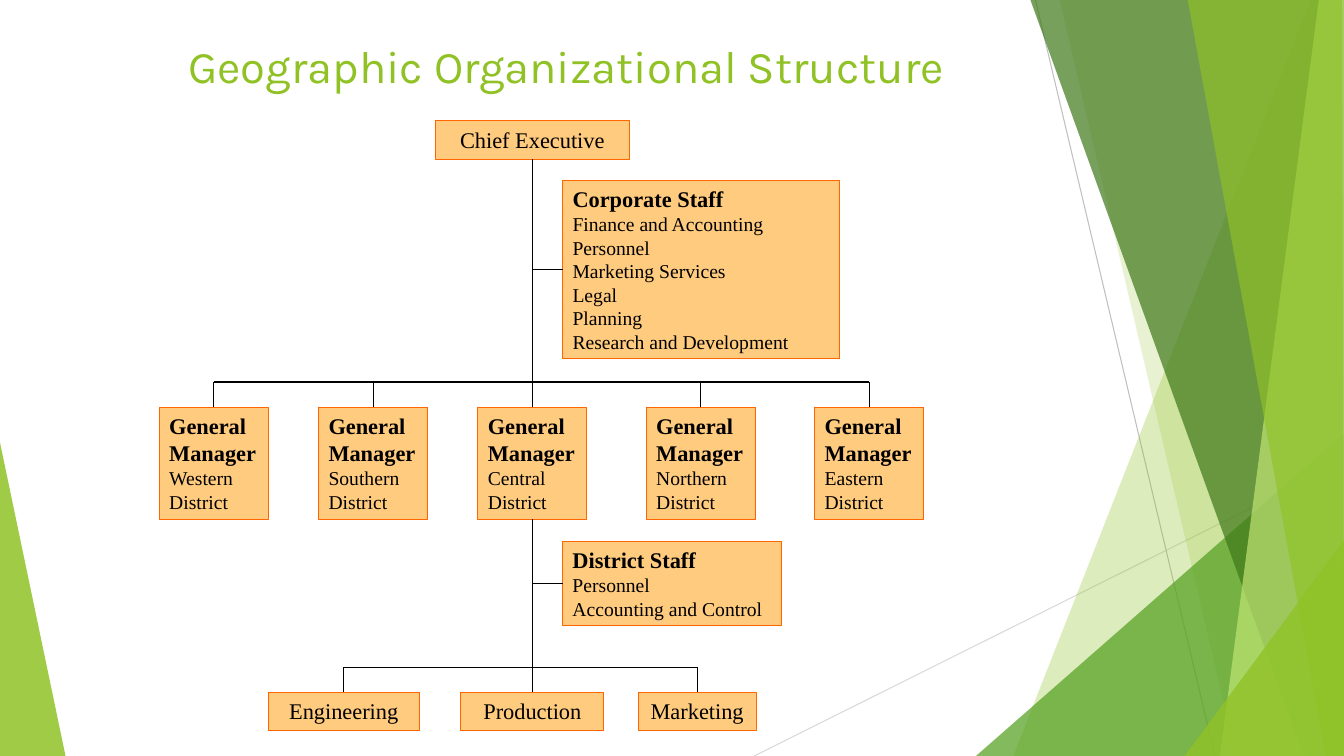
from pptx import Presentation
from pptx.dml.color import RGBColor
from pptx.enum.shapes import MSO_CONNECTOR, MSO_SHAPE
from pptx.enum.text import MSO_ANCHOR, PP_ALIGN
from pptx.oxml.ns import qn
from pptx.util import Inches, Pt
from lxml.etree import SubElement

HEX = {
    "lime": "90C226", "green": "54A021", "forest": "3F7819", "pale": "C0E474",
    "light": "D9D9D9", "gray": "BFBFBF", "black": "000000",
    "amber": "FF9900", "orange": "FF6600",
}
RGB = {name: RGBColor.from_string(code) for name, code in HEX.items()}

deck = Presentation()
deck.slide_width, deck.slide_height = Inches(13.33), Inches(7.5)
slide = deck.slides.add_slide(deck.slide_layouts[6])
shapes = slide.shapes


def paint(shape, color, alpha):
    """Give a shape a flat fill, alpha percent opaque, and no shadow."""
    shape.shadow.inherit = False
    shape.fill.solid()
    shape.fill.fore_color.rgb = RGB[color]
    tone = shape._element.spPr.find(qn("a:solidFill"))[0]
    SubElement(tone, qn("a:alpha"), val=str(alpha * 1000))


def link(x1, y1, x2, y2, color="black"):
    line = shapes.add_connector(
        MSO_CONNECTOR.STRAIGHT, Inches(x1), Inches(y1), Inches(x2), Inches(y2))
    line.line.color.rgb = RGB[color]
    line.line.width = Pt(0.75)
    SubElement(line._element.spPr, qn("a:effectLst"))
    return line


# Backdrop: color, opacity, corners
left = [("lime", 85, [(0, 4.39), (0.65, 7.5), (0, 7.5)])]
right = [
    ("lime", 30, [(13, 0), (10.05, 7.5), (13.35, 7.5), (13.35, 0)]),
    ("lime", 20, [(10.51, 0), (12.26, 7.5), (13.35, 7.5), (13.35, 0)]),
    ("green", 72, [(9.68, 7.5), (13.34, 4.29), (13.34, 7.5)]),
    ("forest", 70, [(10.22, 0), (12.93, 7.5), (13.35, 7.5), (13.35, 0)]),
    ("pale", 70, [(13.08, 0), (12.1, 7.5), (13.35, 7.5), (13.34, 0)]),
    ("lime", 65, [(11.78, 0), (13.15, 7.5), (13.33, 7.5), (13.31, 0)]),
    ("lime", 80, [(11.75, 7.5), (13.34, 5.35), (13.35, 7.5)]),
]
link(7.48, 7.5, 13.35, 4.57, "light")
link(10.27, 0, 12.05, 7.5, "gray")
for color, alpha, points in left + right:
    start, *rest = [(Inches(x), Inches(y)) for x, y in points]
    pen = shapes.build_freeform(*start)
    pen.add_line_segments(rest)
    facet = pen.convert_to_shape()
    paint(facet, color, alpha)
    facet.line.fill.background()

# Title
title = shapes.add_textbox(Inches(1.77), Inches(0.33), Inches(8.25), Inches(1.08))
title.text_frame.word_wrap = True
head = title.text_frame.paragraphs[0]
head.text = "Geographic Organizational Structure"
head.font.name, head.font.size = "Karla", Pt(32.4)
head.font.color.rgb = RGB["lime"]

# Boxes: left, top, width, height, bold lines, text
mid = 5.28
cards = [
    (4.32, 1.2, 1.92, 0.38, 0, ["Chief Executive"]),
    (5.58, 1.79, 2.75, 1.77, 1, [
        "Corporate Staff", "Finance and Accounting", "Personnel",
        "Marketing Services", "Legal", "Planning", "Research and Development"]),
    (5.58, 5.37, 2.17, 0.84, 1, [
        "District Staff", "Personnel", "Accounting and Control"]),
    (2.66, 6.87, 1.5, 0.38, 0, ["Engineering"]),
    (4.57, 6.87, 1.42, 0.38, 0, ["Production"]),
    (6.33, 6.87, 1.17, 0.38, 0, ["Marketing"]),
]
areas = {"Western": 1.58, "Southern": 3.16, "Central": 4.74,
         "Northern": 6.41, "Eastern": 8.08}
for area, x in areas.items():
    cards.append((x, 4.04, 1.08, 1.11, 2, ["General", "Manager", area, "District"]))

boxes = []
for x, y, w, h, bold, lines in cards:
    box = shapes.add_shape(
        MSO_SHAPE.RECTANGLE, Inches(x), Inches(y), Inches(w), Inches(h))
    paint(box, "amber", 50)
    box.line.color.rgb = RGB["orange"]
    box.line.width = Pt(0.75)
    frame = box.text_frame
    frame.word_wrap = True
    frame.vertical_anchor = MSO_ANCHOR.TOP
    if bold:
        frame.margin_right = Inches(0.05)
    for i, text in enumerate(lines):
        para = frame.paragraphs[0] if i == 0 else frame.add_paragraph()
        para.text = text
        para.alignment = PP_ALIGN.LEFT if bold else PP_ALIGN.CENTER
        para.font.name = "Times New Roman"
        para.font.size = Pt(16 if i < bold or not bold else 14)
        para.font.bold = i < bold
        para.font.color.rgb = RGB["black"]
    boxes.append(box)

chief, staff, aides, *rest = boxes
units, chiefs = rest[:3], rest[3:]
center = chiefs[2]

# Lines: trunk, staff branches, then a bar with drops for each row
for upper, lower in [(chief, center), (center, units[1])]:
    trunk = link(mid, 1.58, mid, 4.04)
    trunk.begin_connect(upper, 2)
    trunk.end_connect(lower, 0)
for box in (staff, aides):
    y = (box.top + box.height / 2) / Inches(1)
    link(mid, y, 5.58, y).end_connect(box, 1)
for row in (chiefs, units):
    ends = [row[0], row[-1]]
    bar = row[0].top / Inches(1) - 0.25
    mids = [(box.left + box.width / 2) / Inches(1) for box in row]
    link(mids[0], bar, mids[-1], bar)
    for box, x in zip(row, mids):
        if box not in (center, units[1]):
            link(x, bar, x, bar + 0.25).end_connect(box, 0)

deck.save("out.pptx")
